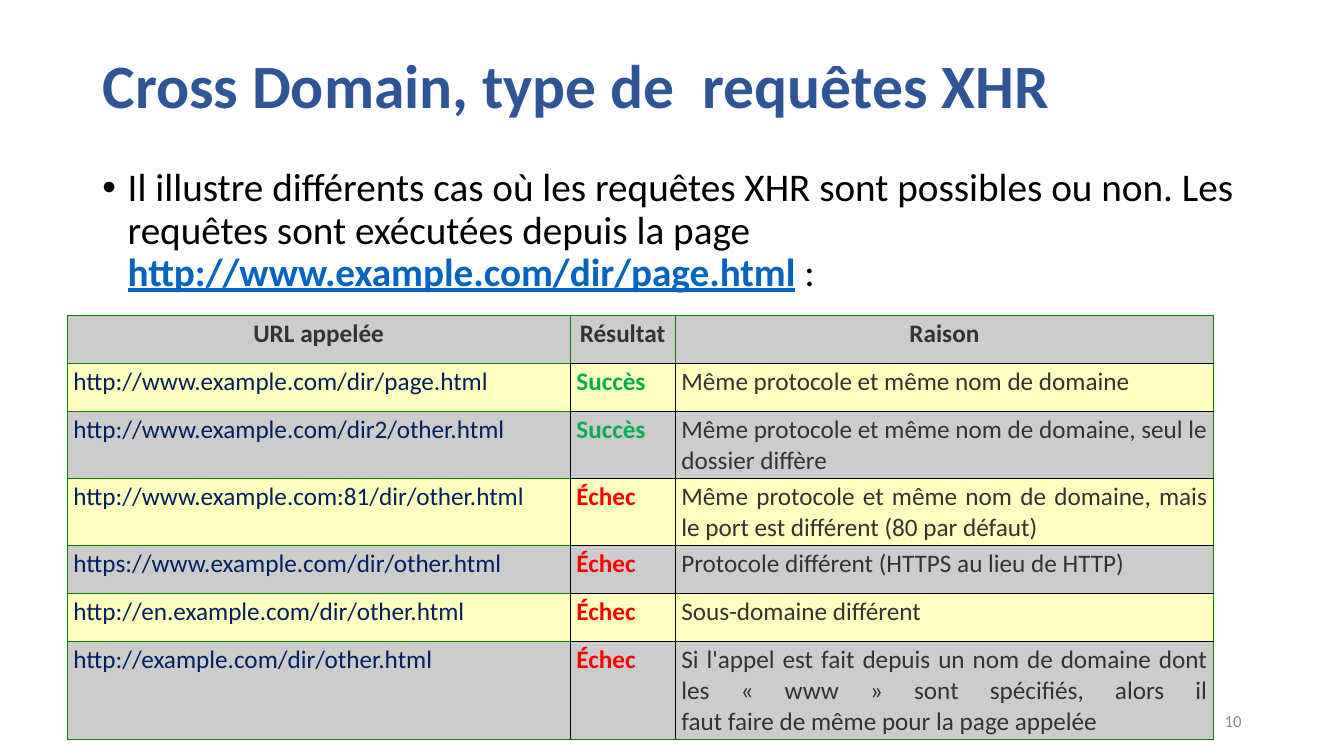
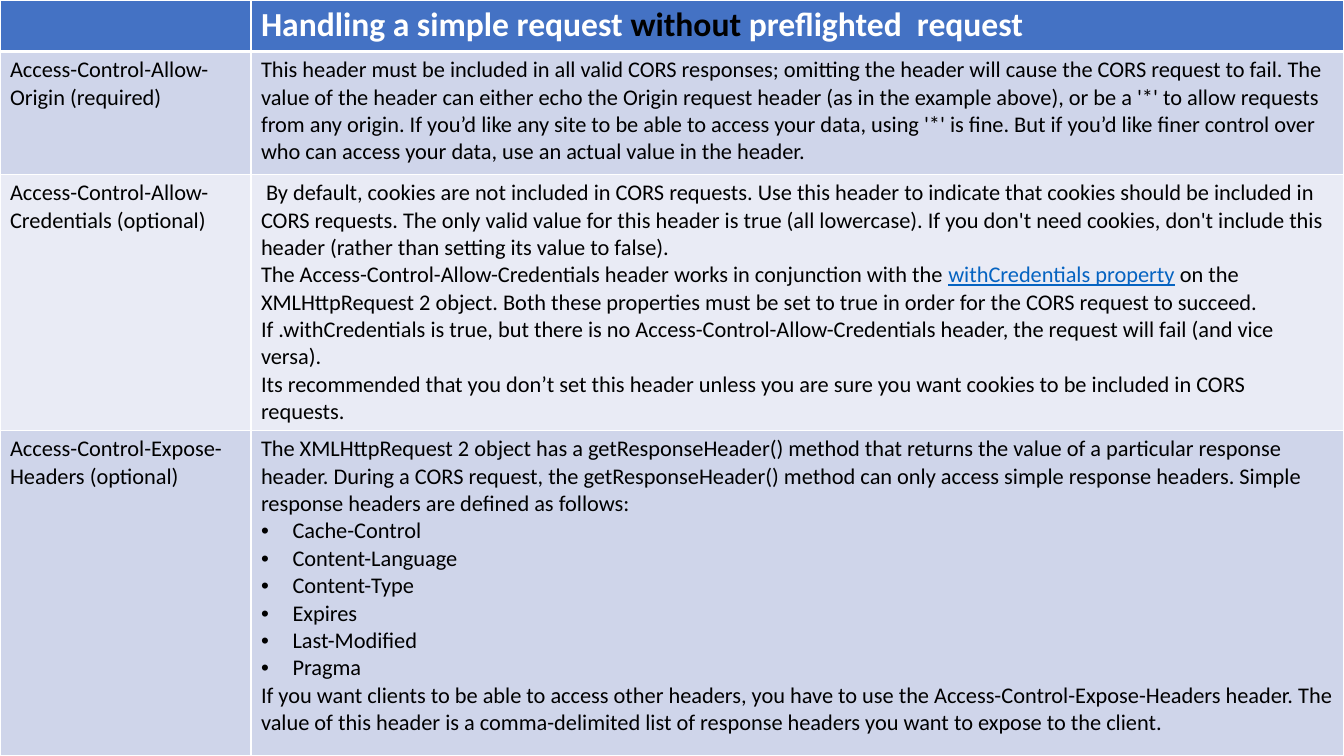
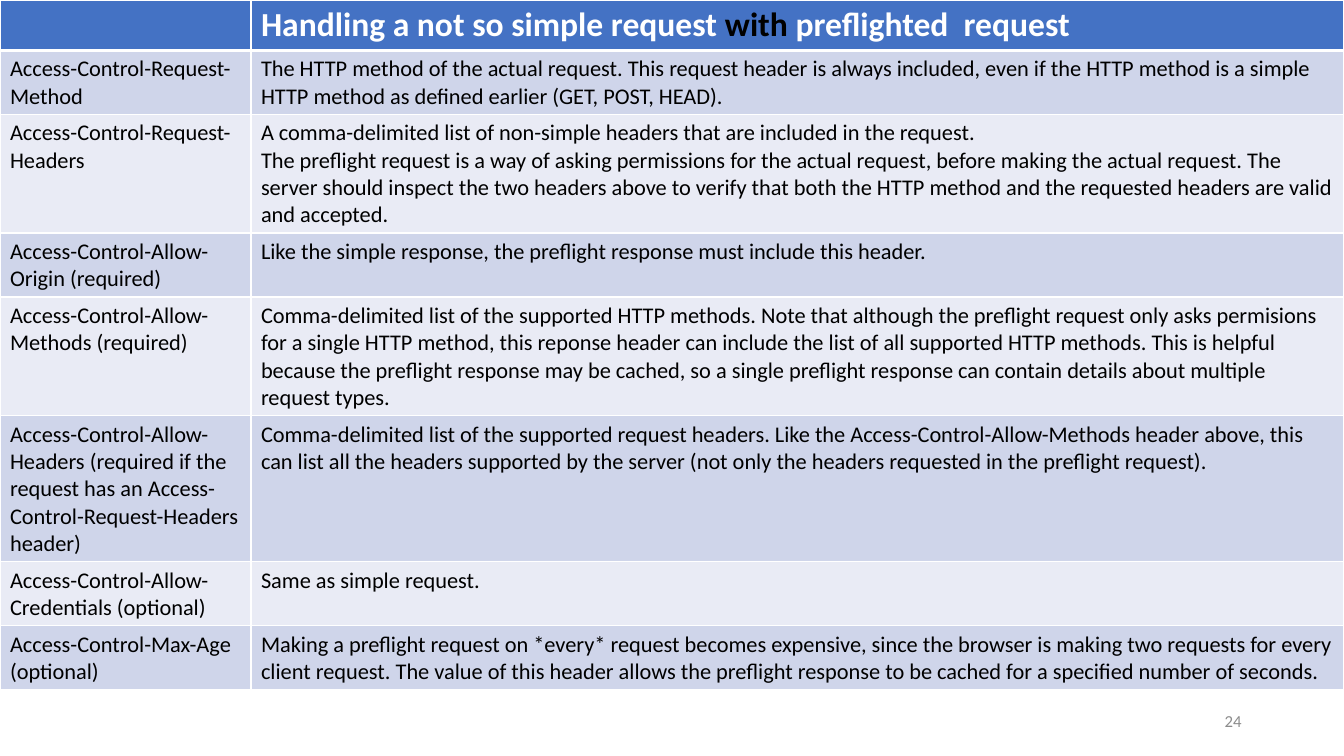
from collections import namedtuple
from dataclasses import dataclass, field

from lxml.etree import SubElement
from pptx import Presentation
from pptx.dml.color import RGBColor as RGB
from pptx.enum.text import MSO_ANCHOR as ANCHOR, MSO_AUTO_SIZE as AUTOSIZE, PP_ALIGN as ALIGN
from pptx.oxml.ns import qn
from pptx.util import Emu, Pt

SCALE = 9525
Box = namedtuple("Box", "x y w h")
Para = namedtuple("Para", "runs bullet", defaults=(0,))
SLIDE = Box(0, 0, 1280, 720)


@dataclass(frozen=True)
class Theme:
    """Colours, font and text styles shared by all slides."""

    font: str = "Calibri"
    green: str = "008000"
    black: str = "000000"
    white: str = "FFFFFF"
    url_fills: tuple = ("CCCCCC", "FFFFBF")
    cors_head: str = "4472C4"
    cors_fills: tuple = ("E9EBF5", "CFD5EA")
    styles: dict = field(default_factory=lambda: {
        "title": ("2F5597", dict(size=Pt(44), bold=True)),
        "body": ("000000", dict(size=Pt(28), bold=False)),
        "body_link": ("0563C1", dict(size=Pt(28), bold=True, underline=True)),
        "number": ("8C8C8C", dict(size=Pt(12))),
        "url_head": ("333333", dict(size=Pt(18), bold=True)),
        "url": ("002060", dict(size=Pt(18), bold=False)),
        "Succès": ("00B050", dict(size=Pt(18), bold=True)),
        "Échec": ("FF0000", dict(size=Pt(18), bold=True)),
        "reason": ("333333", dict(size=Pt(18), bold=False)),
        "cors_head": ("FFFFFF", dict(size=Pt(24), bold=True)),
        "cors_key": ("000000", dict(size=Pt(24), bold=True)),
        "cors": ("000000", dict(size=Pt(16), bold=False)),
        "cors_link": ("0563C1", dict(size=Pt(16), bold=False, underline=True)),
    })


THEME = Theme()

URL_HEAD = ("URL appelée", "Résultat", "Raison")
URL_ROWS = (
    ("http://www.example.com/dir/page.html", "Succès",
     "Même protocole et même nom de domaine"),
    ("http://www.example.com/dir2/other.html", "Succès",
     "Même protocole et même nom de domaine, seul le dossier diffère"),
    ("http://www.example.com:81/dir/other.html", "Échec",
     "Même protocole et même nom de domaine, mais le port est différent (80 par défaut)"),
    ("https://www.example.com/dir/other.html", "Échec",
     "Protocole différent (HTTPS au lieu de HTTP)"),
    ("http://en.example.com/dir/other.html", "Échec",
     "Sous-domaine différent"),
    ("http://example.com/dir/other.html", "Échec",
     "Si l'appel est fait depuis un nom de domaine dont les « www » sont spécifiés, alors il\n"
     "faut faire de même pour la page appelée"),
)

SIMPLE_HEAD = ("Handling a simple request ", "without ", "preflighted  request")
SIMPLE_ROWS = (
    ("Access-Control-Allow-Origin (required)", [
        "This header must be included in all valid CORS responses; omitting the header will cause "
        "the CORS request to fail. The value of the header can either echo the Origin request "
        "header (as in the example above), or be a '*' to allow requests from any origin. If you’d "
        "like any site to be able to access your data, using '*' is fine. But if you’d like finer "
        "control over who can access your data, use an actual value in the header."]),
    ("Access-Control-Allow-Credentials (optional)", [
        " By default, cookies are not included in CORS requests. Use this header to indicate that "
        "cookies should be included in CORS requests. The only valid value for this header "
        "is true (all lowercase). If you don't need cookies, don't include this header (rather "
        "than setting its value to false).",
        Para([("The Access-Control-Allow-Credentials header works in conjunction with the ", "cors"),
              ("withCredentials property", "cors_link"),
              (" on the XMLHttpRequest 2 object. Both these properties must be set to true in order "
               "for the CORS request to succeed. If .withCredentials is true, but there is "
               "no Access-Control-Allow-Credentials header, the request will fail (and vice "
               "versa).", "cors")]),
        "Its recommended that you don’t set this header unless you are sure you want cookies to be "
        "included in CORS requests."]),
    ("Access-Control-Expose-Headers (optional)", [
        "The XMLHttpRequest 2 object has a getResponseHeader() method that returns the value of a "
        "particular response header. During a CORS request, the getResponseHeader() method can "
        "only access simple response headers. Simple response headers are defined as follows:",
        *(Para([(name, "cors")], 30) for name in (
            "Cache-Control", "Content-Language", "Content-Type",
            "Expires", "Last-Modified", "Pragma")),
        "If you want clients to be able to access other headers, you have to use "
        "the Access-Control-Expose-Headers header. The value of this header is a comma-delimited "
        "list of response headers you want to expose to the client."]),
)

PREFLIGHT_HEAD = ("Handling a not so simple request ", "with ", "preflighted  request")
PREFLIGHT_ROWS = (
    ("Access-Control-Request-Method", [
        "The HTTP method of the actual request. This request header is always included, even if "
        "the HTTP method is a simple HTTP method as defined earlier (GET, POST, HEAD)."]),
    ("Access-Control-Request-Headers", [
        "A comma-delimited list of non-simple headers that are included in the request.",
        "The preflight request is a way of asking permissions for the actual request, before "
        "making the actual request. The server should inspect the two headers above to verify "
        "that both the HTTP method and the requested headers are valid and accepted."]),
    ("Access-Control-Allow-Origin (required)", [
        "Like the simple response, the preflight response must include this header."]),
    ("Access-Control-Allow-Methods (required)", [
        "Comma-delimited list of the supported HTTP methods. Note that although the preflight "
        "request only asks permisions for a single HTTP method, this reponse header can include "
        "the list of all supported HTTP methods. This is helpful because the preflight response "
        "may be cached, so a single preflight response can contain details about multiple "
        "request types."]),
    ("Access-Control-Allow-Headers (required if the request has "
     "an Access-Control-Request-Headers header)", [
        "Comma-delimited list of the supported request headers. Like "
        "the Access-Control-Allow-Methods header above, this can list all the headers supported "
        "by the server (not only the headers requested in the preflight request)."]),
    ("Access-Control-Allow-Credentials (optional)", ["Same as simple request."]),
    ("Access-Control-Max-Age (optional)", [
        "Making a preflight request on *every* request becomes expensive, since the browser is "
        "making two requests for every client request. The value of this header allows the "
        "preflight response to be cached for a specified number of seconds."]),
)


def px(n):
    """Turn px into EMU."""
    return Emu(round(n * SCALE))


def apply(obj, values):
    """Set each named attribute of an object."""
    for name, value in values.items():
        setattr(obj, name, value)


def move(sp, box):
    """Place a shape on a box."""
    apply(sp, dict(zip(("left", "top", "width", "height"), map(px, box))))


def add_bullet(p, indent):
    """Give a paragraph a hanging bullet."""
    pPr = p._p.get_or_add_pPr()
    pPr.set("marL", str(px(indent)))
    pPr.set("indent", str(-px(indent)))
    SubElement(pPr, qn("a:buFont")).set("typeface", "Arial")
    SubElement(pPr, qn("a:buChar")).set("char", "•")


def write(tf, paras, **p_format):
    """Fill a text frame with styled paragraphs."""
    for i, para in enumerate(paras):
        p = tf.add_paragraph() if i else tf.paragraphs[0]
        apply(p, p_format)
        if para.bullet:
            add_bullet(p, para.bullet)
        for text, style in para.runs:
            color, values = THEME.styles[style]
            for j, line in enumerate(text.split("\n")):
                if j:
                    p.add_line_break()
                r = p.add_run()
                r.text = line
                apply(r.font, dict(values, name=THEME.font))
                r.font.color.rgb = RGB.from_string(color)


def paint_cell(cell, fill, borders):
    """Set a cell's borders, given as colour and points for L, R, T, B, and its fill."""
    tcPr = cell._tc.get_or_add_tcPr()
    for side, (color, width) in zip("LRTB", borders):
        ln = SubElement(tcPr, qn(f"a:ln{side}"), w=str(Pt(width)))
        SubElement(SubElement(ln, qn("a:solidFill")), qn("a:srgbClr")).set("val", color)
    cell.fill.solid()
    cell.fill.fore_color.rgb = RGB.from_string(fill)


def add_grid(slide, x, y, widths, heights):
    """Add an unbanded table with the given column widths and row heights."""
    box = Box(x, y, sum(widths), sum(heights))
    table = slide.shapes.add_table(len(heights), len(widths), *map(px, box)).table
    table.horz_banding = False
    for col, w in zip(table.columns, widths):
        col.width = px(w)
    for row, h in zip(table.rows, heights):
        row.height = px(h)
    return table


def add_title(slide, box, text):
    """Write the title placeholder."""
    sp = slide.shapes.title
    move(sp, box)
    apply(sp.text_frame, dict(vertical_anchor=ANCHOR.MIDDLE, auto_size=AUTOSIZE.NONE))
    write(sp.text_frame, [Para([(text, "title")])], alignment=ALIGN.LEFT, line_spacing=0.9)


def add_body(slide, box, runs):
    """Write the body placeholder as one bulleted paragraph."""
    sp = slide.placeholders[1]
    move(sp, box)
    sp.text_frame.auto_size = AUTOSIZE.NONE
    write(sp.text_frame, [Para(runs, 24)], line_spacing=0.9, space_before=Pt(10))


def add_number(slide, number):
    """Write the page number at the bottom right."""
    sp = slide.shapes.add_textbox(*map(px, Box(904, 667, 288, 38)))
    apply(sp.text_frame, dict(word_wrap=True, vertical_anchor=ANCHOR.MIDDLE))
    write(sp.text_frame, [Para([(number, "number")])], alignment=ALIGN.RIGHT)


def url_borders(row, col, last_row, last_col):
    """Work out which sides of a URL table cell are green."""
    head, first = row == 0, col == 0
    green = (head or first, head or col == last_col, head or first, first or row == last_row)
    return [(THEME.green if g else THEME.black, 0.75) for g in green]


def add_url_table(slide, x, y, widths, heights):
    """Add the table of called URLs, results and reasons."""
    table = add_grid(slide, x, y, widths, heights)
    margins = dict(margin_left=px(6), margin_right=px(6), margin_top=px(3), margin_bottom=px(3))
    for i, row in enumerate((URL_HEAD, *URL_ROWS)):
        styles = ("url", row[1], "reason") if i else ("url_head",) * 3
        for j, (text, style) in enumerate(zip(row, styles)):
            cell = table.cell(i, j)
            apply(cell, margins)
            paint_cell(cell, THEME.url_fills[i % 2],
                       url_borders(i, j, len(heights) - 1, len(widths) - 1))
            write(cell.text_frame, [Para([(text, style)])],
                  alignment=ALIGN.JUSTIFY if i else ALIGN.CENTER)


def add_cors_table(slide, box, heights, head, rows):
    """Add a two-column table of CORS headers under a heading row."""
    key_width = 239
    table = add_grid(slide, box.x, box.y, (key_width, box.w - key_width), heights)
    heading = Para(list(zip(head, ("cors_head", "cors_key", "cors_head"))))
    cells = [([], [heading]), *(([key], texts) for key, texts in rows)]
    for i, row in enumerate(cells):
        fill = THEME.cors_fills[i % 2] if i else THEME.cors_head
        widths = (1, 1, 3 if i == 1 else 1, 1 if i else 3)
        for j, paras in enumerate(row):
            cell = table.cell(i, j)
            paint_cell(cell, fill, [(THEME.white, w) for w in widths])
            write(cell.text_frame,
                  [Para([(p, "cors")]) if isinstance(p, str) else p for p in paras])


def build_xhr_slide(prs):
    """Build the slide on kinds of XHR request."""
    slide = prs.slides.add_slide(prs.slide_layouts[1])
    add_title(slide, Box(88, 15, 1104, 139), "Cross Domain, type de  requêtes XHR")
    add_body(slide, Box(88, 155, 1104, 546), [
        ("Il illustre différents cas où les requêtes XHR sont possibles ou non. "
         "Les requêtes sont exécutées depuis la page ", "body"),
        ("http://www.example.com/dir/page.html", "body_link"),
        (" :", "body")])
    add_number(slide, "10")
    add_url_table(slide, 64, 300, (479, 100, 513), (46, 46, 63, 60, 46, 46, 93))


def build_cors_slide(prs, heights, head, rows, number=None):
    """Build a slide filled by a table of CORS headers."""
    slide = prs.slides.add_slide(prs.slide_layouts[6])
    if number:
        add_number(slide, number)
    add_cors_table(slide, SLIDE, heights, head, rows)


def main():
    """Build and save the presentation."""
    prs = Presentation()
    apply(prs, dict(slide_width=px(SLIDE.w), slide_height=px(SLIDE.h)))
    build_xhr_slide(prs)
    build_cors_slide(prs, (49, 117, 244, 310), SIMPLE_HEAD, SIMPLE_ROWS)
    build_cors_slide(prs, (47, 61, 113, 61, 113, 139, 61, 61), PREFLIGHT_HEAD, PREFLIGHT_ROWS, "24")
    prs.save("out.pptx")


if __name__ == "__main__":
    main()
